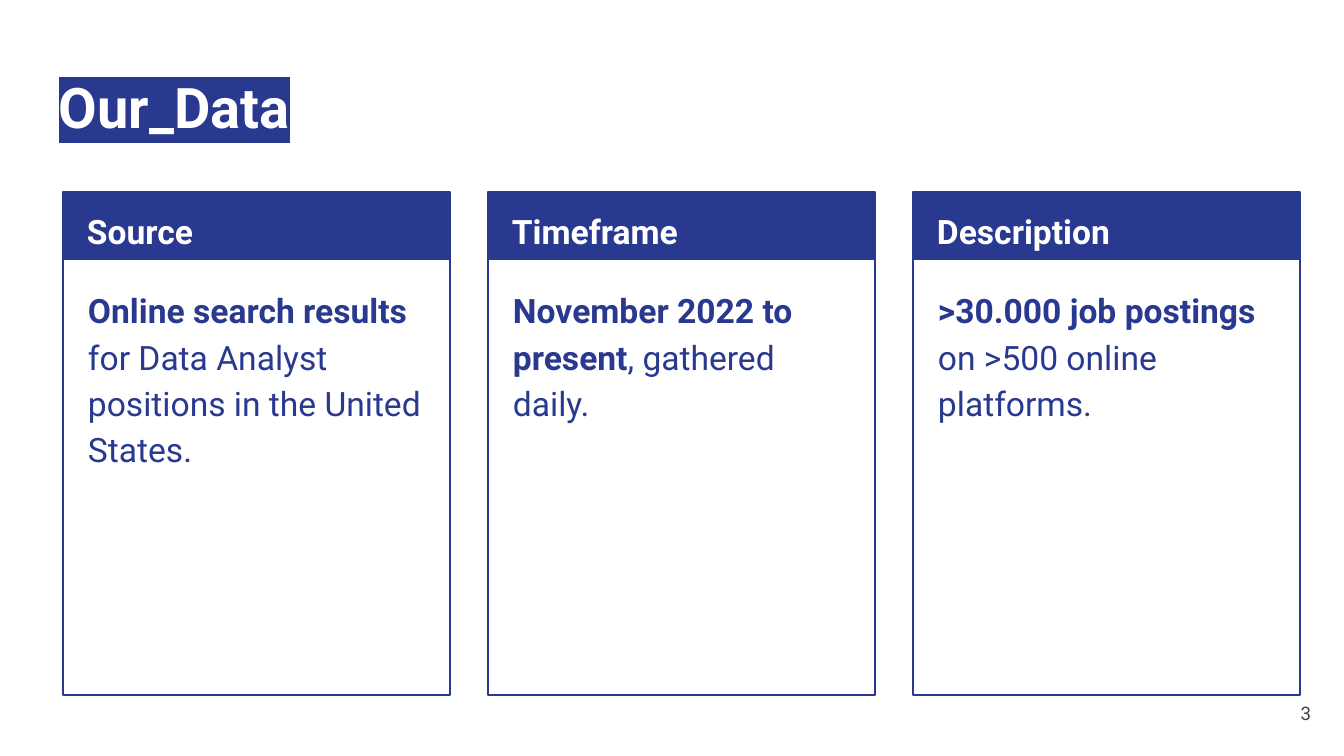
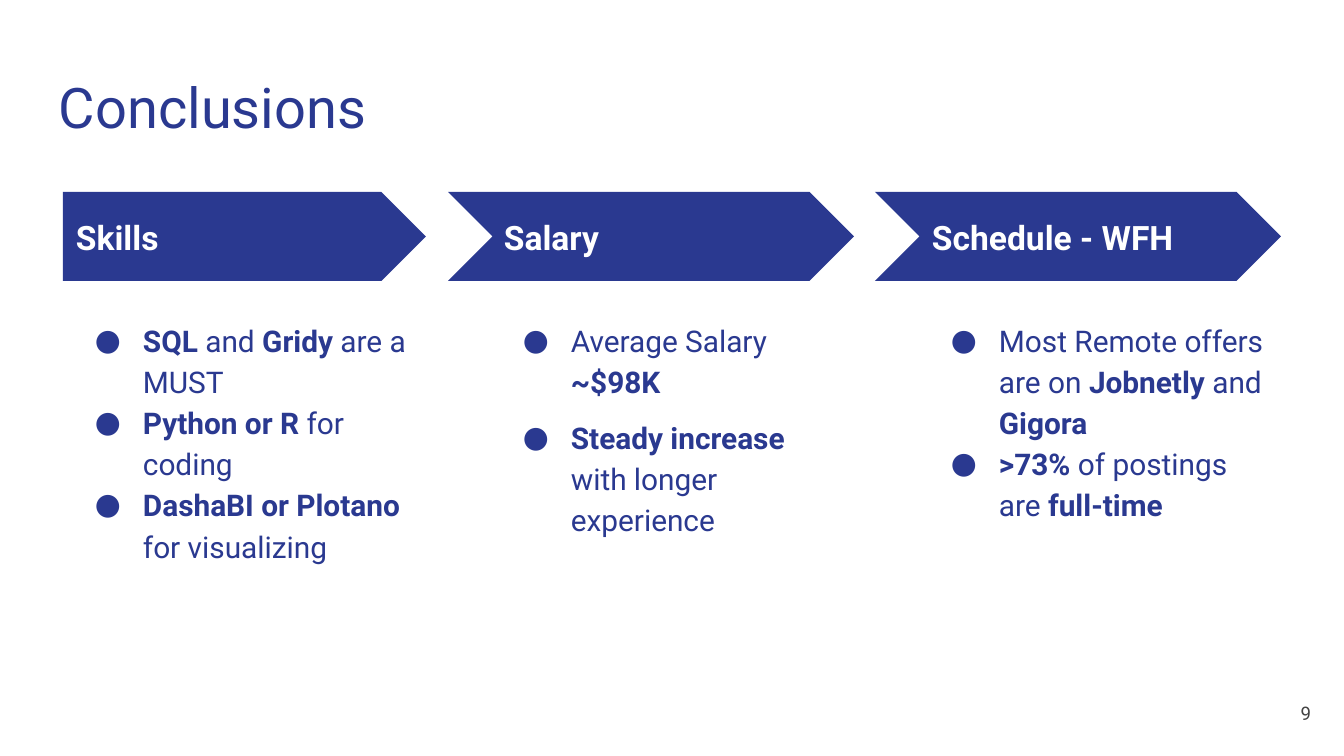
"""Build the data and conclusions slides of a job market presentation."""
import lxml.etree
import pptx
import pptx.dml.color
import pptx.enum.shapes
import pptx.enum.text
import pptx.oxml.ns
import pptx.util

BLUE, WHITE, GREY = "2A3990", "FFFFFF", "434343"
FONT = "Roboto"
EMU_PER_PX = 914400 / 134.4
SHAPE = pptx.enum.shapes.MSO_SHAPE
ALIGN = pptx.enum.text.PP_ALIGN
ANCHOR = pptx.enum.text.MSO_ANCHOR
qn = pptx.oxml.ns.qn


def px(*lengths):
    return [pptx.util.Emu(round(length * EMU_PER_PX)) for length in lengths]


def add_text(page, place, lines, size, color, bold=False, anchor=ANCHOR.TOP,
             align=ALIGN.LEFT, spacing=1.0):
    """Add a text box; parts of a line between asterisks are bold."""
    frame = page.shapes.add_textbox(*px(*place)).text_frame
    frame.word_wrap = True
    frame.vertical_anchor = anchor
    frame.margin_left, frame.margin_top, frame.margin_right, frame.margin_bottom = px(13, 13, 13, 13)
    for index, line in enumerate(lines):
        para = frame.paragraphs[0] if index == 0 else frame.add_paragraph()
        para.alignment = align
        para.line_spacing = spacing
        para.font.name = FONT
        para.font.size = pptx.util.Pt(size)
        para.font.color.rgb = pptx.dml.color.RGBColor.from_string(color)
        para.font.bold = bold
        for position, part in enumerate(line.split("*")):
            if part:
                span = para.add_run()
                span.text = part
                if position % 2:
                    span.font.bold = True
    return frame.paragraphs


deck = pptx.Presentation()
deck.slide_width, deck.slide_height = px(1344, 756)
blue = pptx.dml.color.RGBColor.from_string(BLUE)

pages = []
for title, number, highlighted in [("Our_Data", "3", True), ("Conclusions", "9", False)]:
    page = deck.slides.add_slide(deck.slide_layouts[6])
    pages.append(page)
    title_color = WHITE if highlighted else BLUE
    para = add_text(page, (46, 60, 1253, 89), [title], 30, title_color, highlighted)[0]
    if highlighted:
        highlight = lxml.etree.Element(qn("a:highlight"))
        lxml.etree.SubElement(highlight, qn("a:srgbClr"), val=BLUE)
        para.runs[0].font._element.insert(0, highlight)
    add_text(page, (1243, 684, 81, 58), [number], 10, GREY,
             anchor=ANCHOR.MIDDLE, align=ALIGN.RIGHT)
data_page, conclusions_page = pages

cards = [
    ("Source", "*Online search results* for Data Analyst positions in the United States."),
    ("Timeframe", "*November 2022 to present*, gathered daily."),
    ("Description", "*>30.000 job postings* on >500 online platforms."),
]
for column, (heading, body) in enumerate(cards):
    left = 63 + 425 * column
    card = data_page.shapes.add_group_shape()
    band = card.shapes.add_shape(SHAPE.RECTANGLE, *px(left, 192, 387, 68))
    band.fill.solid()
    band.fill.fore_color.rgb = blue
    band.line.fill.background()
    border = card.shapes.add_shape(SHAPE.RECTANGLE, *px(left, 192, 387, 503))
    border.fill.background()
    border.line.color.rgb = blue
    border.line.width = pptx.util.Pt(0.75)
    for part in (band, border):
        part.shadow.inherit = False
    add_text(data_page, (left + 11, 192, 367, 67), [heading], 18, WHITE, True, spacing=1.15)
    para = add_text(data_page, (left + 12, 271, 364, 411), [body], 18, BLUE, spacing=1.15)[0]
    para.space_after = pptx.util.Pt(16)

steps = [
    ("Skills", ["*SQL* and *Gridy* are a MUST", "*Python or R* for coding",
                "*DashaBI or Plotano* for visualizing"], 0),
    ("Salary", ["Average Salary *~$98K*", "*Steady increase* with longer experience"], 8),
    ("Schedule - WFH", ["Most Remote offers are on *Jobnetly* and *Gigora*",
                        ">73%* of postings are *full-time".join("**")], 0),
]
for column, (heading, points, last_gap) in enumerate(steps):
    if column == 0:
        arrow = conclusions_page.shapes.add_shape(SHAPE.PENTAGON, *px(63, 192, 363, 89))
    else:
        arrow = conclusions_page.shapes.add_shape(
            SHAPE.CHEVRON, *px(21 + 427 * column, 192, 406, 89))
    arrow.adjustments[0] = 0.5
    arrow.fill.solid()
    arrow.fill.fore_color.rgb = blue
    arrow.line.fill.background()
    arrow.shadow.inherit = False
    left = 63 + 428 * column
    add_text(conclusions_page, (left, 214, 332, 46), [heading], 18, WHITE, True, ANCHOR.MIDDLE)
    paras = add_text(conclusions_page, (left, 304, 363, 390), points, 16, BLUE, spacing=1.15)
    if last_gap:
        paras[-1].space_before = paras[-1].space_after = pptx.util.Pt(last_gap)
    for para in paras:
        properties = para._p.get_or_add_pPr()
        indent, hanging = px(67, -48)
        properties.set("marL", str(indent))
        properties.set("indent", str(hanging))
        bullet_color = lxml.etree.Element(qn("a:buClr"))
        lxml.etree.SubElement(bullet_color, qn("a:srgbClr"), val=BLUE)
        bullet_font = lxml.etree.Element(qn("a:buFont"), typeface=FONT)
        bullet = lxml.etree.Element(qn("a:buChar"), char="●")
        for element in (bullet_color, bullet_font, bullet):
            properties.find(qn("a:defRPr")).addprevious(element)

deck.save("out.pptx")
